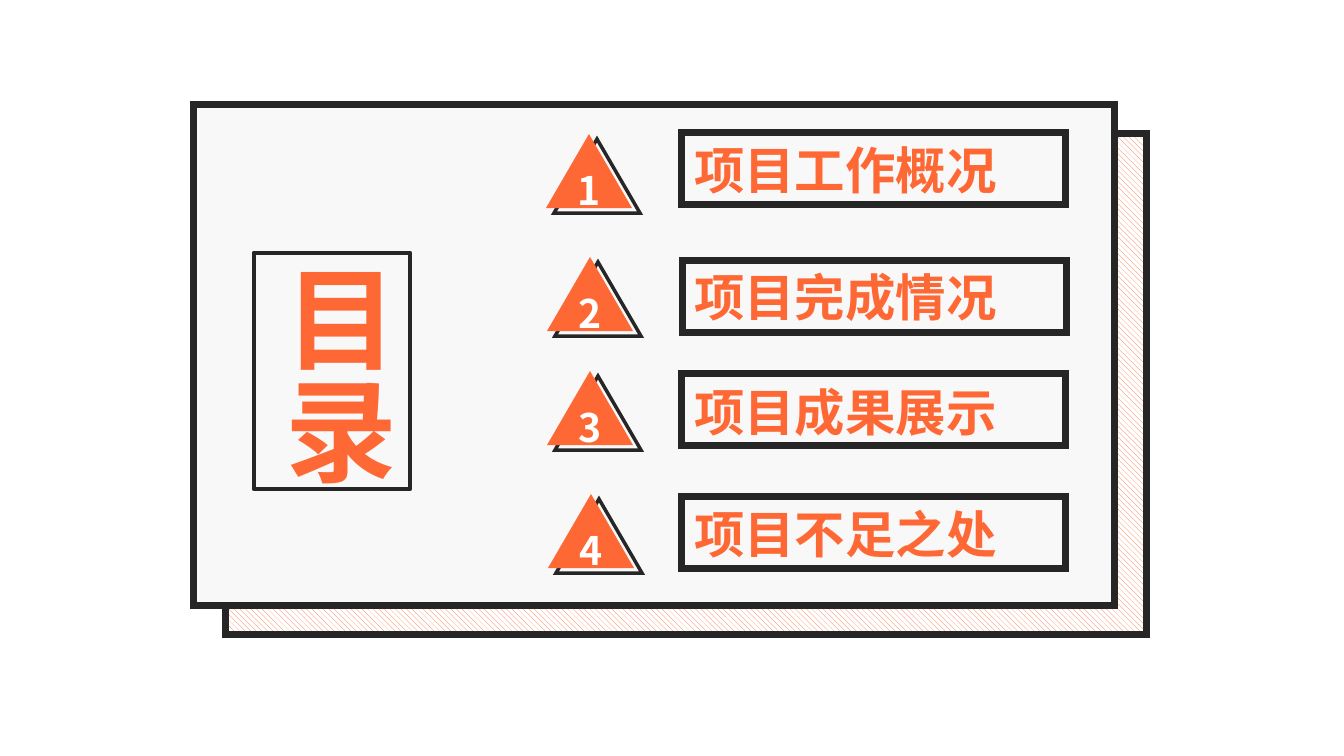
from lxml import etree
from pptx import Presentation
from pptx.dml.color import RGBColor
from pptx.enum.dml import MSO_PATTERN
from pptx.enum.shapes import MSO_SHAPE
from pptx.enum.text import MSO_ANCHOR, MSO_AUTO_SIZE, PP_ALIGN
from pptx.oxml.ns import qn
from pptx.util import Pt

PX = 914400 / 100.8
ORANGE = RGBColor(0xFE, 0x68, 0x35)
INK = RGBColor(0x26, 0x26, 0x26)
PAPER = RGBColor(0xF8, 0xF8, 0xF8)
WHITE = RGBColor(0xFF, 0xFF, 0xFF)
FONT = "Noto Sans CJK SC"
RECTANGLE = MSO_SHAPE.RECTANGLE
TRIANGLE = MSO_SHAPE.ISOSCELES_TRIANGLE
DIAGONAL = MSO_PATTERN.WIDE_DOWNWARD_DIAGONAL
TOP, MIDDLE = MSO_ANCHOR.TOP, MSO_ANCHOR.MIDDLE
LEFT, CENTER, JUSTIFY = PP_ALIGN.LEFT, PP_ALIGN.CENTER, PP_ALIGN.JUSTIFY
GROW = MSO_AUTO_SIZE.SHAPE_TO_FIT_TEXT

CARD = (194, 105, 921, 501)
TITLE = (254, 253, 156, 236)
BADGE_SIZE = (86, 74)
FRAME_SIZE = (384, 72)
LABEL_LEFT, LABEL_SIZE = 694, (356, 61)
ENTRIES = [
    ("项目工作概况", (546, 134), (682, 133), 139),
    ("项目完成情况", (547, 257), (683, 261), 266),
    ("项目成果展示", (547, 371), (682, 374), 381),
    ("项目不足之处", (548, 494), (682, 497), 503),
]


def emu(box):
    """Turn px lengths into EMU."""
    return [round(length * PX) for length in box]


def draw_shape(shapes, kind, box, fill=None, line_width=None):
    """Add a flat preset shape with an optional fill and sharp-cornered line."""
    shape = shapes.add_shape(kind, *emu(box))
    shape.shadow.inherit = False
    if fill is None:
        shape.fill.background()
    else:
        shape.fill.solid()
        shape.fill.fore_color.rgb = fill
    if line_width is None:
        shape.line.fill.background()
    else:
        shape.line.color.rgb = INK
        shape.line.width = Pt(line_width)
        etree.SubElement(shape.line._ln, qn("a:miter"), lim="800000")
    return shape


def write(shape, text, size, color, align, frame_format):
    """Write one bold line of text into a shape."""
    frame = shape.text_frame
    for name, value in frame_format.items():
        setattr(frame, name, value)
    para = frame.paragraphs[0]
    para.alignment = align
    span = para.add_run()
    span.text = text
    for name, value in {"name": FONT, "size": Pt(size), "bold": True}.items():
        setattr(span.font, name, value)
    span.font.color.rgb = color
    etree.SubElement(span.font._element, qn("a:ea"), typeface=FONT)


def draw_card(page, box):
    """Draw the paper card over its hatched offset card."""
    left, top, width, height = box
    hatch = draw_shape(page.shapes, RECTANGLE, (left + 32, top + 29, width, height), WHITE, 5)
    hatch.fill.patterned()
    hatch.fill.pattern = DIAGONAL
    hatch.fill.fore_color.rgb = ORANGE
    hatch.fill.back_color.rgb = WHITE
    draw_shape(page.shapes, RECTANGLE, box, PAPER, 5)


def draw_title(page, box):
    """Draw the vertical title in its thin frame."""
    title = page.shapes.add_textbox(*emu(box))
    title.line.color.rgb = INK
    title.line.width = Pt(3.5)
    etree.SubElement(title.line._ln, qn("a:round"))
    write(title, "目录", 80, ORANGE, LEFT,
          {"word_wrap": False, "auto_size": GROW, "vertical_anchor": TOP})
    title.text_frame._txBody.bodyPr.set("vert", "eaVert")


def draw_badge(page, box, number):
    """Draw a numbered triangle over its offset outline."""
    left, top, width, height = box
    shapes = page.shapes.add_group_shape().shapes
    draw_shape(shapes, TRIANGLE, (left + 8, top + 5, width, height), line_width=2.5)
    badge = draw_shape(shapes, TRIANGLE, box, ORANGE)
    write(badge, str(number), 28, WHITE, CENTER,
          {"word_wrap": True, "vertical_anchor": MIDDLE})


def draw_label(page, frame_box, text_box, text):
    """Draw an entry's text and the heavy frame around it."""
    label = page.shapes.add_textbox(*emu(text_box))
    margins = {f"margin_{side}": 0 for side in ("left", "top", "right", "bottom")}
    write(label, text, 36, ORANGE, JUSTIFY,
          {"word_wrap": True, "auto_size": GROW, **margins})
    draw_shape(page.shapes, RECTANGLE, frame_box, line_width=5)


def main():
    """Build the contents slide."""
    deck = Presentation()
    deck.slide_width, deck.slide_height = emu((1344, 756))
    page = deck.slides.add_slide(deck.slide_layouts[6])
    draw_card(page, CARD)
    draw_title(page, TITLE)
    for number, (text, badge, frame, label_top) in enumerate(ENTRIES, 1):
        draw_badge(page, badge + BADGE_SIZE, number)
        draw_label(page, frame + FRAME_SIZE, (LABEL_LEFT, label_top) + LABEL_SIZE, text)
    deck.save("out.pptx")


if __name__ == "__main__":
    main()
